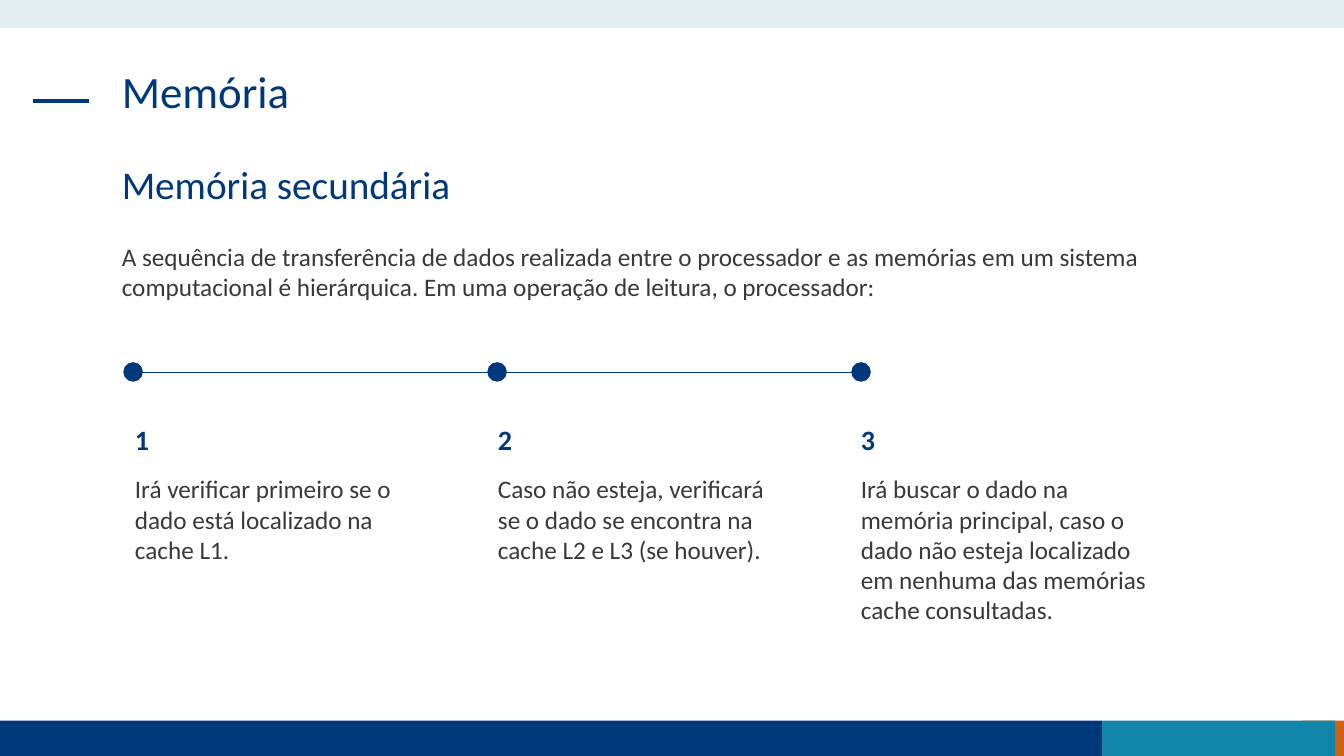
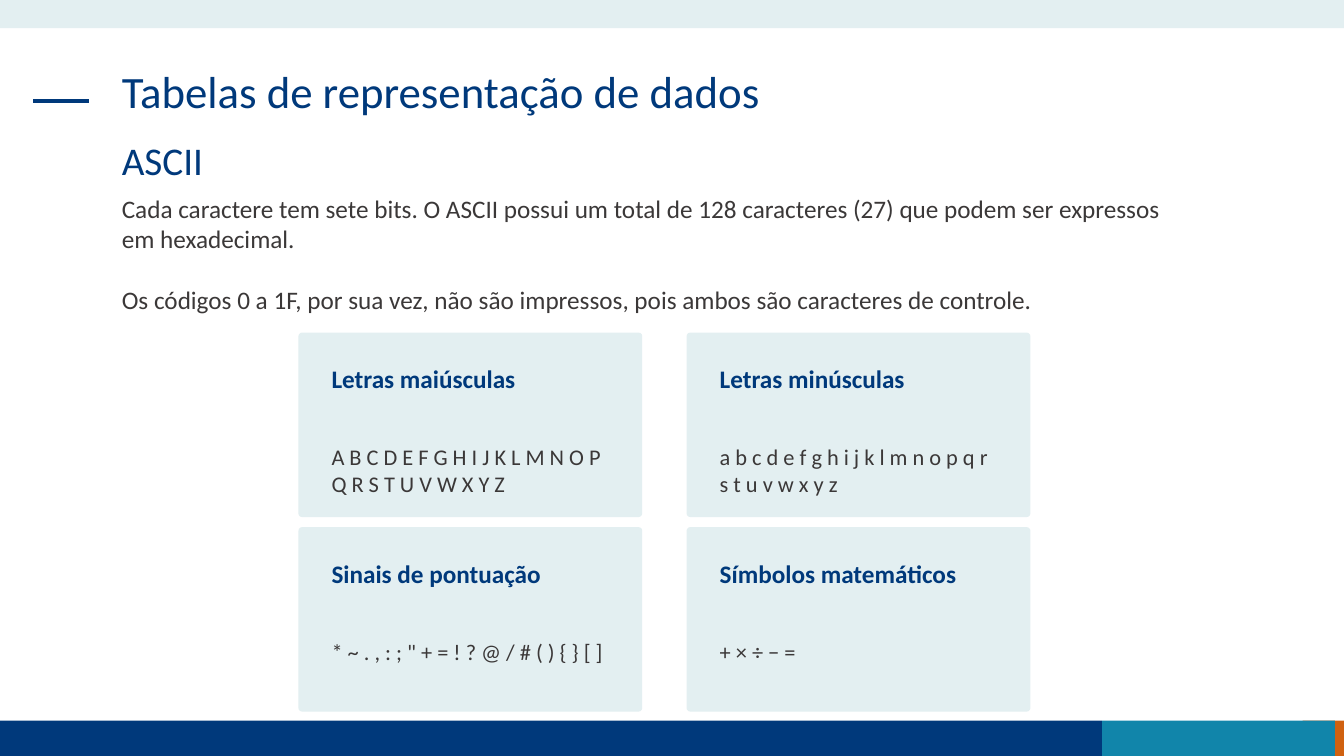
"""Build two lesson slides on memory and data representation tables."""
from dataclasses import dataclass

import lxml.etree
import pptx
import pptx.dml.color
import pptx.enum.shapes
import pptx.oxml.ns
import pptx.presentation
import pptx.shapes.autoshape
import pptx.slide
import pptx.util

Inches = pptx.util.Inches
Pt = pptx.util.Pt
RGB = pptx.dml.color.RGBColor
Shape = pptx.enum.shapes.MSO_SHAPE


@dataclass(frozen=True)
class Theme:
    font: str = "Calibri"
    navy: RGB = RGB(0x00, 0x39, 0x7B)
    teal: RGB = RGB(0x11, 0x85, 0xAA)
    orange: RGB = RGB(0xD0, 0x61, 0x10)
    pale: RGB = RGB(0xE3, 0xEF, 0xF1)
    text: RGB = RGB(0x3B, 0x38, 0x38)
    title: int = 32
    subtitle: int = 28
    step: int = 20
    body: int = 18
    detail: int = 16


@dataclass(frozen=True)
class Box:
    left: float
    top: float
    width: float
    height: float

    def lengths(self) -> tuple[int, int, int, int]:
        return (Inches(self.left), Inches(self.top),
                Inches(self.width), Inches(self.height))


@dataclass(frozen=True)
class Band:
    box: Box
    color: RGB


@dataclass(frozen=True)
class Item:
    heading: str
    text: str


T = Theme()

BANDS = (
    Band(Box(12.92, 7.15, 0.41, 0.35), T.orange),
    Band(Box(0, 7.15, 10.93, 0.35), T.navy),
    Band(Box(10.93, 7.15, 2.31, 0.35), T.teal),
    Band(Box(0, 0, 13.33, 0.28), T.pale),
)

STEPS = (
    Item("1", "Irá verificar primeiro se o dado está localizado na cache L1."),
    Item("2", "Caso não esteja, verificará se o dado se encontra na "
              "cache L2 e L3 (se houver)."),
    Item("3", "Irá buscar o dado na memória principal, caso o dado não esteja "
              "localizado em nenhuma das memórias cache consultadas."),
)

CARDS = (
    Item("Letras maiúsculas",
         "A B C D E F G H I J K L M N O P Q R S T U V W X Y Z"),
    Item("Letras minúsculas",
         "a b c d e f g h i j k l m n o p q r s t u v w x y z"),
    Item("Sinais de pontuação", "* ~ . , : ; \" + = ! ? @ / # ( ) { } [ ]"),
    Item("Símbolos matemáticos", "+ × ÷ − ="),
)


def add_text(s: pptx.slide.Slide, box: Box, paragraphs: tuple[str, ...],
             size: int, color: RGB, bold: bool = False,
             line_spacing: float = 1.0, gap: float = 0) -> None:
    tf = s.shapes.add_textbox(*box.lengths()).text_frame
    tf.word_wrap = True
    for i, text in enumerate(paragraphs):
        p = tf.add_paragraph() if i else tf.paragraphs[0]
        p.line_spacing = line_spacing
        if i:
            p.space_before = Pt(gap)
        r = p.add_run()
        r.text = text
        r.font.name = T.font
        r.font.size = Pt(size)
        r.font.bold = bold
        r.font.color.rgb = color


def add_shape(s: pptx.slide.Slide, kind: Shape, box: Box,
              color: RGB) -> pptx.shapes.autoshape.Shape:
    sp = s.shapes.add_shape(kind, *box.lengths())
    sp.shadow.inherit = False
    sp.fill.solid()
    sp.fill.fore_color.rgb = color
    sp.line.fill.background()
    return sp


def add_rule(s: pptx.slide.Slide, left: float, right: float, y: float,
             weight: float) -> None:
    line = s.shapes.add_connector(
        pptx.enum.shapes.MSO_CONNECTOR.STRAIGHT,
        Inches(left), Inches(y), Inches(right), Inches(y))
    line.line.color.rgb = T.navy
    line.line.width = Pt(weight)
    lxml.etree.SubElement(line._element.spPr,
                          pptx.oxml.ns.qn("a:effectLst"))


def add_slide(prs: pptx.presentation.Presentation, title: str, subtitle: str,
              subtitle_top: float) -> pptx.slide.Slide:
    s = prs.slides.add_slide(prs.slide_layouts[6])
    for band in BANDS:
        add_shape(s, Shape.RECTANGLE, band.box, band.color)
    add_rule(s, 0.33, 0.88, 1, 3)
    for text, top, size in ((title, 0.64, T.title),
                            (subtitle, subtitle_top, T.subtitle)):
        add_text(s, Box(1.11, top, 11.1, 0.94), (text,), size, T.navy,
                 line_spacing=0.9)
    return s


def add_steps(s: pptx.slide.Slide) -> None:
    dot, dot_left, dot_pitch, text_pitch = 0.18, 1.23, 3.61, 3.6
    first = dot_left + dot / 2
    add_rule(s, first, first + dot_pitch * (len(STEPS) - 1), 3.69, 0.5)
    for i, step in enumerate(STEPS):
        sp = add_shape(s, Shape.OVAL,
                       Box(dot_left + i * dot_pitch, 3.6, dot, dot), T.navy)
        sp.line.color.rgb = T.navy
        sp.line.width = Pt(1)
        left = 1.24 + i * text_pitch
        add_text(s, Box(left, 4.14, 3.06, 0.44), (step.heading,),
                 T.step, T.navy, bold=True)
        add_text(s, Box(left, 4.65, 3.06, 1.62), (step.text,),
                 T.body, T.text)


def add_cards(s: pptx.slide.Slide) -> None:
    for i, card in enumerate(CARDS):
        row, col = divmod(i, 2)
        left, top = 2.96 + col * 3.85, 3.3 + row * 1.93
        sp = add_shape(s, Shape.ROUNDED_RECTANGLE,
                       Box(left, top, 3.41, 1.83), T.pale)
        sp.adjustments[0] = 0.02
        add_text(s, Box(left + 0.23, top + 0.26, 2.96, 0.4), (card.heading,),
                 T.body, T.navy, bold=True)
        add_text(s, Box(left + 0.23, top + 1.05, 2.96, 0.64), (card.text,),
                 T.detail, T.text)


def main() -> None:
    prs = pptx.Presentation()
    prs.slide_width, prs.slide_height = Inches(13.33), Inches(7.5)

    s = add_slide(prs, "Memória", "Memória secundária", 1.59)
    add_text(s, Box(1.11, 2.34, 11.1, 0.71), (
        "A sequência de transferência de dados realizada entre o processador "
        "e as memórias em um sistema computacional é hierárquica. Em uma "
        "operação de leitura, o processador:",), T.body, T.text)
    add_steps(s)

    s = add_slide(prs, "Tabelas de representação de dados", "ASCII", 1.36)
    add_text(s, Box(1.11, 1.87, 10.71, 1.31), (
        "Cada caractere tem sete bits. O ASCII possui um total de 128 "
        "caracteres (27) que podem ser expressos em hexadecimal.",
        "Os códigos 0 a 1F, por sua vez, não são impressos, pois ambos são "
        "caracteres de controle."), T.body, T.text, gap=22)
    add_cards(s)

    prs.save("out.pptx")


if __name__ == "__main__":
    main()
